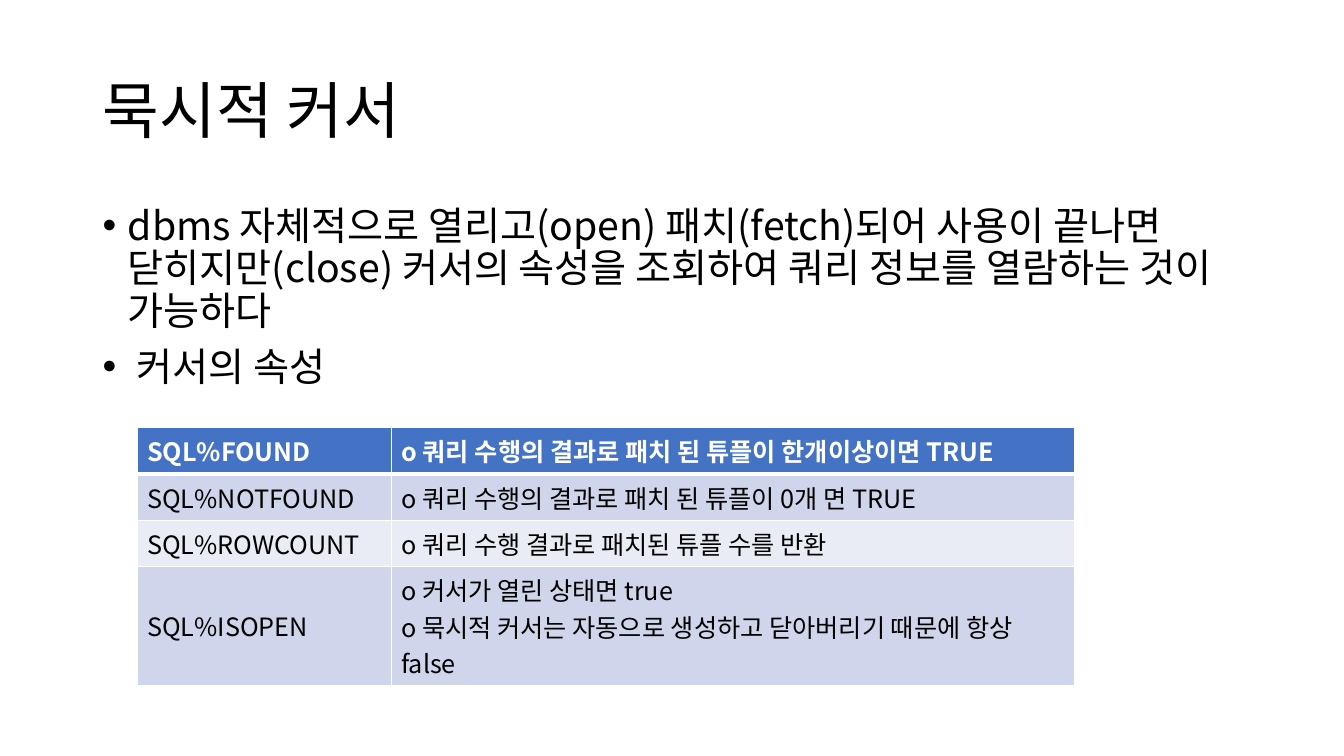
import pptx
import pptx.dml.color
import pptx.enum.text
import pptx.oxml.ns
import pptx.util
from lxml import etree

SLIDE_W, SLIDE_H = 13.33, 7.5
FONT = "Noto Sans CJK KR"
BLACK, WHITE, BLUE = "000000", "FFFFFF", "4472C4"
BANDS = ("CFD5EA", "E9EBF5")

MARGIN = 0.92
CONTENT_W = SLIDE_W - 2 * MARGIN
COLUMN_WIDTHS = (2.52, 6.78)
LINE_H, CELL_PADDING = 0.36, 0.1

TITLE = "묵시적 커서"
BULLETS = [
    "dbms 자체적으로 열리고(open) 패치(fetch)되어 사용이 끝나면 "
    "닫히지만(close) 커서의 속성을 조회하여 쿼리 정보를 열람하는 것이 가능하다",
    " 커서의 속성",
]
# Attribute, description, number of text lines
ATTRIBUTES = [
    ("SQL%FOUND", "o 쿼리 수행의 결과로 패치 된 튜플이 한개이상이면 TRUE", 1),
    ("SQL%NOTFOUND", "o 쿼리 수행의 결과로 패치 된 튜플이 0개 면 TRUE", 1),
    ("SQL%ROWCOUNT", "o 쿼리 수행 결과로 패치된 튜플 수를 반환", 1),
    ("SQL%ISOPEN", "o 커서가 열린 상태면 true\v"
     "o 묵시적 커서는 자동으로 생성하고 닫아버리기 때문에 항상 false", 3),
]


def inches(*lengths):
    return [pptx.util.Inches(length) for length in lengths]


def rgb(color):
    return pptx.dml.color.RGBColor.from_string(color)


def add_xml(parent, tag, **attributes):
    return etree.SubElement(parent, pptx.oxml.ns.qn(tag), attributes)


def apply_format(target, values):
    for name, value in values.items():
        setattr(target, name, value)


def write(paragraph, text, size, color=BLACK, bold=False, **layout):
    """Fill a paragraph and format its runs."""
    paragraph.text = text
    apply_format(paragraph, layout)
    for run in paragraph.runs:
        apply_format(run.font, {"size": pptx.util.Pt(size), "bold": bold, "name": FONT})
        run.font.color.rgb = rgb(color)
        add_xml(run.font._element, "a:ea", typeface=FONT)


def add_title(slide):
    title = slide.shapes.title
    left, top, width, height = inches(MARGIN, 0.4, CONTENT_W, 1.45)
    apply_format(title, {"left": left, "top": top, "width": width, "height": height})
    apply_format(title.text_frame, {
        "word_wrap": True,
        "auto_size": pptx.enum.text.MSO_AUTO_SIZE.NONE,
        "vertical_anchor": pptx.enum.text.MSO_ANCHOR.MIDDLE,
    })
    write(title.text_frame.paragraphs[0], TITLE, 44, line_spacing=0.9,
          alignment=pptx.enum.text.PP_ALIGN.LEFT)


def add_bullets(slide):
    explanation = slide.shapes.add_textbox(*inches(MARGIN, 2, CONTENT_W, 4.76)).text_frame
    explanation.word_wrap = True
    indent = pptx.util.Inches(0.25)
    for index, text in enumerate(BULLETS):
        paragraph = explanation.add_paragraph() if index else explanation.paragraphs[0]
        properties = paragraph._p.get_or_add_pPr()
        properties.set("marL", str(indent))
        properties.set("indent", str(-indent))
        add_xml(properties, "a:buFont", typeface="Arial")
        add_xml(properties, "a:buChar", char="•")
        write(paragraph, text, 28, line_spacing=0.9,
              space_before=pptx.util.Pt(10 if index else 0))


def add_borders(cell, row):
    """White rules, with a thicker one below the header."""
    widths = {"L": 1, "R": 1, "T": 3 if row == 1 else 1, "B": 3 if row == 0 else 1}
    properties = cell._tc.get_or_add_tcPr()
    for side, width in widths.items():
        line = add_xml(properties, f"a:ln{side}", w=str(pptx.util.Pt(width)))
        add_xml(add_xml(line, "a:solidFill"), "a:srgbClr", val=WHITE)


def fill_cell(cell, text, row):
    is_header = row == 0
    cell.vertical_anchor = pptx.enum.text.MSO_ANCHOR.MIDDLE
    write(cell.text_frame.paragraphs[0], text, 18,
          WHITE if is_header else BLACK, is_header)
    add_borders(cell, row)
    cell.fill.solid()
    cell.fill.fore_color.rgb = rgb(BLUE if is_header else BANDS[(row - 1) % 2])


def add_attribute_table(slide):
    heights = [lines * LINE_H + CELL_PADDING for _, _, lines in ATTRIBUTES]
    box = inches(1.36, 4.24, sum(COLUMN_WIDTHS), sum(heights))
    attributes = slide.shapes.add_table(len(ATTRIBUTES), len(COLUMN_WIDTHS), *box).table
    for column, width in zip(attributes.columns, inches(*COLUMN_WIDTHS)):
        column.width = width
    for row, (name, description, _) in enumerate(ATTRIBUTES):
        attributes.rows[row].height = pptx.util.Inches(heights[row])
        for column, text in enumerate((name, description)):
            fill_cell(attributes.cell(row, column), text, row)


def main():
    deck = pptx.Presentation()
    deck.slide_width, deck.slide_height = inches(SLIDE_W, SLIDE_H)
    slide = deck.slides.add_slide(deck.slide_layouts[5])
    add_title(slide)
    add_bullets(slide)
    add_attribute_table(slide)
    deck.save("out.pptx")


if __name__ == "__main__":
    main()
